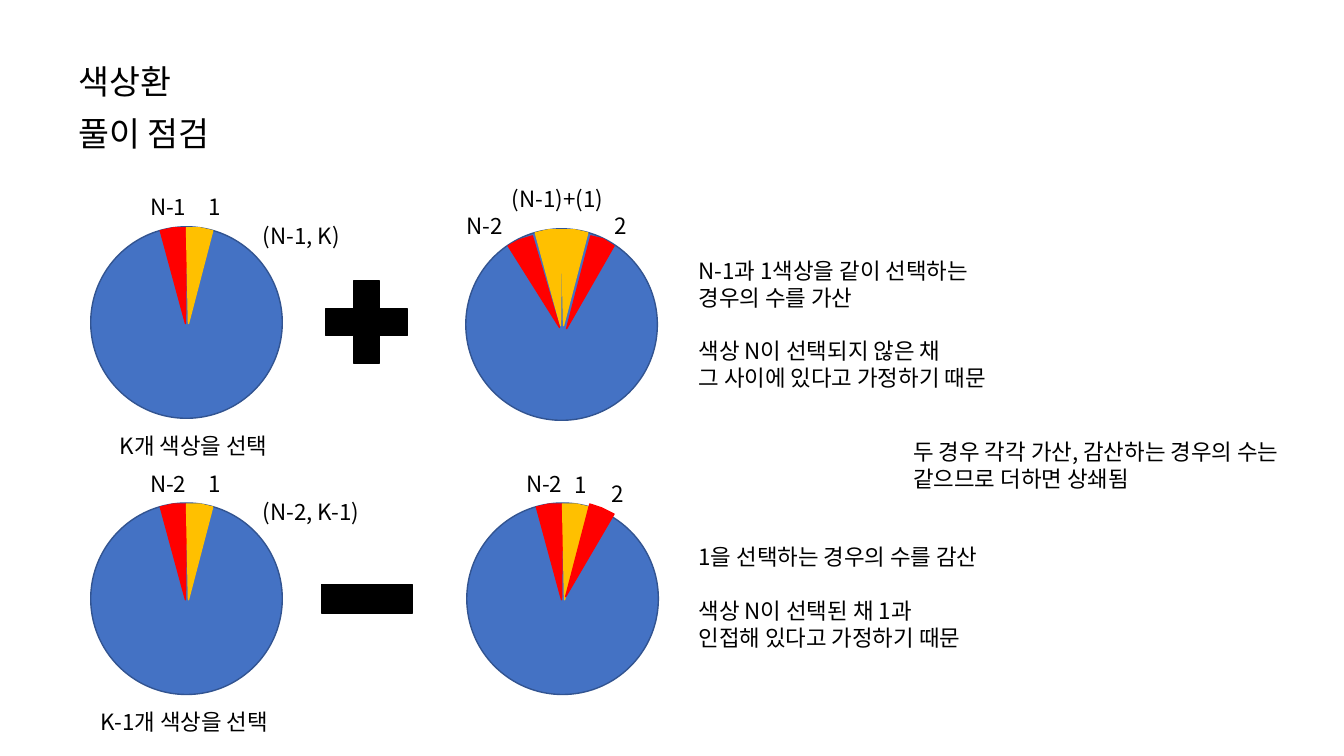
from dataclasses import dataclass

from lxml.etree import SubElement
from pptx import Presentation
from pptx.dml.color import RGBColor
from pptx.enum.shapes import MSO_SHAPE
from pptx.enum.text import MSO_AUTO_SIZE
from pptx.oxml.ns import qn
from pptx.util import Inches, Pt


@dataclass(frozen=True)
class Theme:
    font: str = "Noto Sans CJK KR"
    ink: str = "000000"
    disc: str = "4472C4"
    rim: str = "325491"
    red: str = "FF0000"
    gold: str = "FFC000"
    title: int = 24
    body: int = 16
    leading: float = 1.2


THEME = Theme()
DISC_SIZE = 1.9

TITLES = [("색상환", 0.56), ("풀이 점검", 1.07)]

WEDGES = {
    "left": [(0.94, 0.96), (0.69, 0.04), (0.82, 0.01), (0.95, 0.01)],
    "right": [(0.97, 0.96), (0.95, 0.01), (1.08, 0.01), (1.21, 0.04)],
    "far left": [(0.93, 0.98), (0.42, 0.17), (0.53, 0.11), (0.66, 0.07)],
    "far right": [(0.98, 0.93), (1.22, 0.01), (1.34, 0.05), (1.46, 0.11)],
    "low far right": [(1.0, 0.99), (1.24, 0.07), (1.36, 0.1), (1.47, 0.17)],
}

DISCS = [
    (0.9, 2.25, [("left", THEME.red), ("right", THEME.gold)]),
    (0.9, 4.99, [("left", THEME.red), ("right", THEME.gold)]),
    (4.62, 2.27, [("left", THEME.gold), ("right", THEME.gold),
                  ("low far right", THEME.red), ("far left", THEME.red)]),
    (4.63, 4.99, [("left", THEME.red), ("right", THEME.gold),
                  ("far right", THEME.red)]),
]

OPERATORS = [
    (MSO_SHAPE.MATH_PLUS, 3.08, 2.64, 1.11),
    (MSO_SHAPE.MATH_MINUS, 3.03, 5.33, 1.22),
]

LABELS = [
    ("N-1", 1.39, 1.87, 0.63),
    ("1", 1.97, 1.87, 0.49),
    ("K개 색상을 선택", 1.09, 4.24, 1.9),
    ("(N-1, K)", 2.51, 2.15, 1.02),
    ("N-2", 1.39, 4.61, 0.63),
    ("1", 1.97, 4.61, 0.49),
    ("K-1개 색상을 선택", 0.9, 6.98, 2.1),
    ("(N-2, K-1)", 2.51, 4.89, 1.22),
    ("(N-1)+(1)", 4.98, 1.79, 1.43),
    ("2", 6.0, 2.06, 1.43),
    ("N-2", 4.53, 2.06, 1.43),
    ("N-2", 5.12, 4.61, 0.63),
    ("1", 5.6, 4.62, 0.49),
    ("2", 5.97, 4.71, 1.43),
]

NOTES = [
    ([["N-1과 1색상을 같이 선택하는", "경우의 수를 가산"],
      ["색상 N이 선택되지 않은 채", "그 사이에 있다고 가정하기 때문"]], 6.83, 2.5, 3.29),
    ([["1을 선택하는 경우의 수를 감산"],
      ["색상 N이 선택된 채 1과", "인접해 있다고 가정하기 때문"]], 6.83, 5.34, 3.29),
    ([["두 경우 각각 가산, 감산하는 경우의 수는", "같으므로 더하면 상쇄됨"]], 8.96, 4.3, 4.02),
]


def add_text(slide, groups, *, left, top, width, size=THEME.body):
    pitch = size * THEME.leading
    line_count = sum(len(group) for group in groups) + len(groups) - 1
    height = line_count * pitch / 72 + 0.1
    box = slide.shapes.add_textbox(Inches(left), Inches(top), Inches(width), Inches(height))
    frame = box.text_frame
    frame.word_wrap = True
    frame.auto_size = MSO_AUTO_SIZE.SHAPE_TO_FIT_TEXT
    paragraph = None
    for group_index, group in enumerate(groups):
        for line_index, line in enumerate(group):
            paragraph = frame.add_paragraph() if paragraph else frame.paragraphs[0]
            paragraph.line_spacing = Pt(pitch)
            if group_index and not line_index:
                paragraph.space_before = Pt(pitch)
            run = paragraph.add_run()
            run.text = line
            run.font.size = Pt(size)
            run.font.name = THEME.font
            run.font.color.rgb = RGBColor.from_string(THEME.ink)
            SubElement(run.font._element, qn("a:ea")).set("typeface", THEME.font)


def paint(shape, fill, line):
    shape.shadow.inherit = False
    shape.fill.solid()
    shape.fill.fore_color.rgb = RGBColor.from_string(fill)
    shape.line.color.rgb = RGBColor.from_string(line)
    shape.line.width = Pt(1)


def add_square_shape(slide, kind, left, top, size, fill, line):
    shape = slide.shapes.add_shape(kind, Inches(left), Inches(top), Inches(size), Inches(size))
    paint(shape, fill, line)


def add_wedge(slide, left, top, outline, color):
    apex, *rim = [(Inches(left + x), Inches(top + y)) for x, y in outline]
    builder = slide.shapes.build_freeform(*apex)
    builder.add_line_segments(rim, close=True)
    paint(builder.convert_to_shape(), color, color)


def main():
    deck = Presentation()
    deck.slide_width, deck.slide_height = Inches(13.33), Inches(7.5)
    slide = deck.slides.add_slide(deck.slide_layouts[6])

    for title, top in TITLES:
        add_text(slide, [[title]], left=0.68, top=top, width=3.66, size=THEME.title)
    for left, top, wedges in DISCS:
        add_square_shape(slide, MSO_SHAPE.OVAL, left, top, DISC_SIZE, THEME.disc, THEME.rim)
        for place, color in wedges:
            add_wedge(slide, left, top, WEDGES[place], color)
    for kind, left, top, size in OPERATORS:
        add_square_shape(slide, kind, left, top, size, THEME.ink, THEME.ink)
    for label, left, top, width in LABELS:
        add_text(slide, [[label]], left=left, top=top, width=width)
    for groups, left, top, width in NOTES:
        add_text(slide, groups, left=left, top=top, width=width)

    deck.save("out.pptx")


if __name__ == "__main__":
    main()
